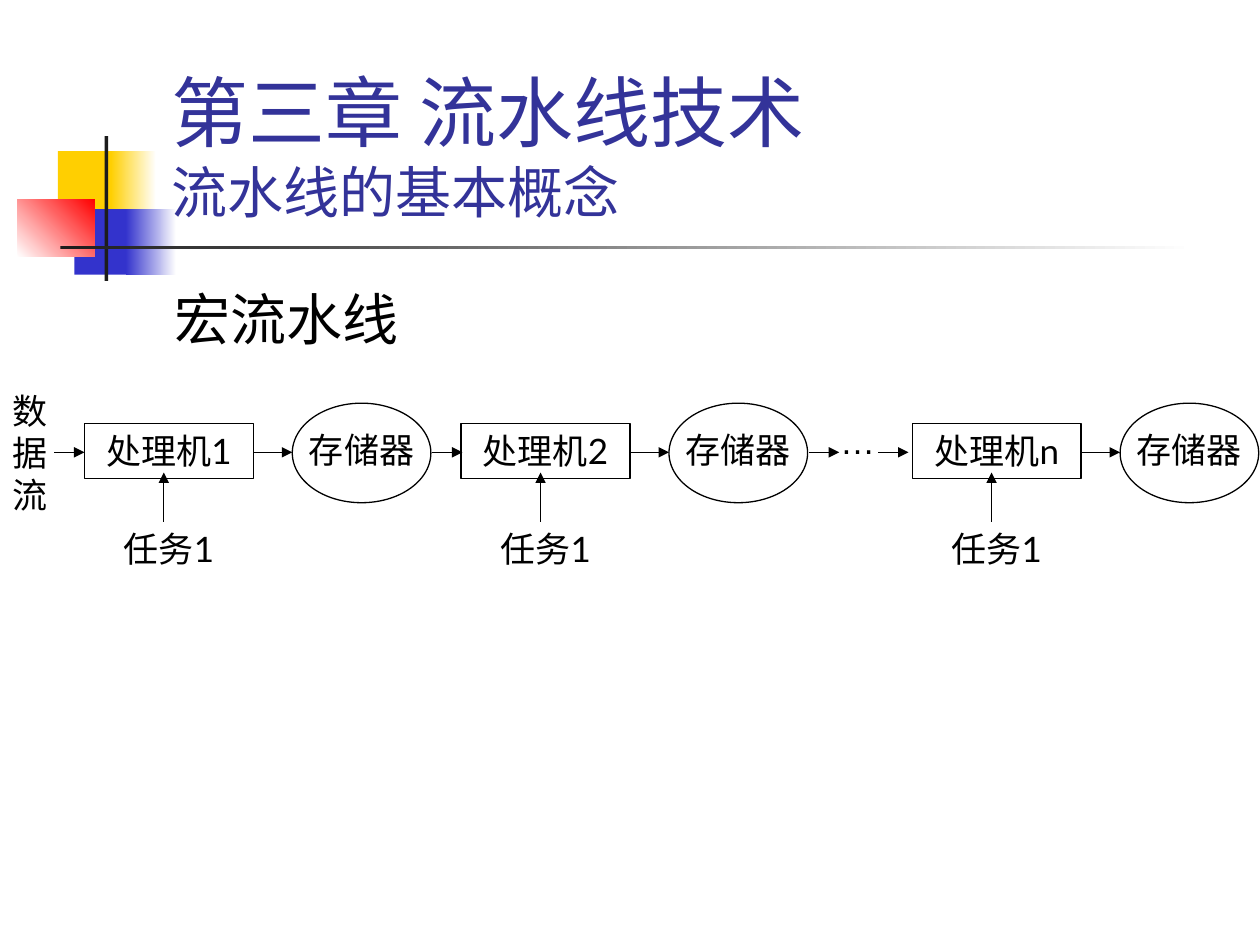
"""Build the slide on macro pipelines: processors, memories and tasks in a row."""
from dataclasses import dataclass

from lxml import etree
from pptx import Presentation
from pptx.dml.color import RGBColor
from pptx.enum.shapes import MSO_CONNECTOR, MSO_SHAPE
from pptx.enum.text import MSO_ANCHOR, PP_ALIGN
from pptx.oxml.ns import qn
from pptx.util import Inches, Pt

RECTANGLE, OVAL = MSO_SHAPE.RECTANGLE, MSO_SHAPE.OVAL
STRAIGHT = MSO_CONNECTOR.STRAIGHT
LEFT, CENTER = PP_ALIGN.LEFT, PP_ALIGN.CENTER
TOP, BOTTOM = MSO_ANCHOR.TOP, MSO_ANCHOR.BOTTOM


@dataclass(frozen=True)
class Theme:
    ink: str = "000000"
    title: str = "333399"
    yellow: str = "FFCF01"
    blue: str = "3333CC"
    red: str = "FF0000"
    dark: str = "1C1C1C"
    white: str = "FFFFFF"
    title_size: int = 44
    heading_size: int = 32
    label_size: int = 20
    line_width: float = 0.75
    font: str = "Lato"
    title_font: str = "Noto Sans CJK SC"
    symbol_font: str = "Arial"


def add_span(para, text, size, color, font):
    span = para.add_run()
    span.text = text
    span.font.size = Pt(size)
    span.font.color.rgb = RGBColor.from_string(color)
    span.font.name = font
    etree.SubElement(span.font._element, qn("a:ea"), typeface=font)


class Painter:
    def __init__(self, page, theme):
        self.page = page
        self.theme = theme

    def shape(self, kind, left, top, width, height):
        box = self.page.shapes.add_shape(
            kind, Inches(left), Inches(top), Inches(width), Inches(height))
        box.shadow.inherit = False
        return box

    def block(self, left, top, width, height, start, end=None, angle=0):
        box = self.shape(RECTANGLE, left, top, width, height)
        box.line.fill.background()
        if end is None:
            box.fill.solid()
            box.fill.fore_color.rgb = RGBColor.from_string(start)
            return
        box.fill.gradient()
        box.fill.gradient_angle = angle
        for stop, color in zip(box.fill.gradient_stops, (start, end)):
            stop.color.rgb = RGBColor.from_string(color)

    def outline(self, kind, left, top, width, height):
        box = self.shape(kind, left, top, width, height)
        box.fill.background()
        box.line.color.rgb = RGBColor.from_string(self.theme.ink)
        box.line.width = Pt(self.theme.line_width)
        return box

    def fill_frame(self, frame, text, size=None, font=None, align=CENTER):
        frame.word_wrap = True
        frame.vertical_anchor = TOP
        para = frame.paragraphs[0]
        para.alignment = align
        add_span(para, text, size or self.theme.label_size,
                 self.theme.ink, font or self.theme.font)

    def label(self, left, top, width, height, text, **style):
        box = self.page.shapes.add_textbox(
            Inches(left), Inches(top), Inches(width), Inches(height))
        self.fill_frame(box.text_frame, text, **style)

    def title(self, left, top, width, height, chapter, section):
        theme = self.theme
        box = self.page.shapes.add_textbox(
            Inches(left), Inches(top), Inches(width), Inches(height))
        frame = box.text_frame
        frame.word_wrap = True
        frame.vertical_anchor = BOTTOM
        para = frame.paragraphs[0]
        add_span(para, chapter, theme.title_size, theme.title, theme.title_font)
        para.add_line_break()
        add_span(para, section, theme.heading_size, theme.title, theme.font)

    def arrow(self, x1, y1, x2, y2):
        line = self.page.shapes.add_connector(
            STRAIGHT, Inches(x1), Inches(y1), Inches(x2), Inches(y2))
        line.line.color.rgb = RGBColor.from_string(self.theme.ink)
        line.line.width = Pt(self.theme.line_width)
        properties = line._element.spPr
        etree.SubElement(properties.find(qn("a:ln")), qn("a:tailEnd"), type="triangle")
        etree.SubElement(properties, qn("a:effectLst"))

    def stage(self, left, processor):
        box = self.outline(RECTANGLE, left, 3.36, 1.34, 0.44)
        self.fill_frame(box.text_frame, processor)
        self.outline(OVAL, left + 1.65, 3.2, 1.1, 0.79)
        self.label(left + 1.65, 3.35, 1.1, 0.44, "存储器")
        self.label(left + 0.08, 4.14, 1.18, 0.44, "任务1")
        self.arrow(left + 0.63, 4.14, left + 0.63, 3.75)
        self.arrow(left + 1.34, 3.59, left + 1.65, 3.59)

    def ornament(self):
        theme = self.theme
        self.block(0.46, 1.2, 0.48, 0.52, theme.yellow)
        self.block(0.88, 1.2, 0.36, 0.52, theme.yellow, theme.white)
        self.block(0.59, 1.66, 0.46, 0.52, theme.blue)
        self.block(1, 1.66, 0.4, 0.52, theme.blue, theme.white)
        self.block(0.14, 1.58, 0.61, 0.46, theme.white, theme.red, angle=45)
        self.block(0.83, 1.08, 0.03, 1.15, theme.dark)
        self.block(0.48, 1.95, 9, 0.03, theme.dark, theme.white)


def main():
    deck = Presentation()
    deck.slide_width, deck.slide_height = Inches(10), Inches(7.5)
    theme = Theme()
    painter = Painter(deck.slides.add_slide(deck.slide_layouts[6]), theme)

    painter.ornament()
    painter.title(1.26, 0.23, 8.52, 1.6, "第三章 流水线技术", "流水线的基本概念")
    painter.label(1.29, 2.21, 2.21, 0.68, "宏流水线",
                  size=theme.heading_size, align=LEFT)

    for left, processor in ((0.67, "处理机1"), (3.66, "处理机2"), (7.24, "处理机n")):
        painter.stage(left, processor)

    painter.label(0, 3.04, 0.51, 1.1, "数据流", align=LEFT)
    painter.label(6.57, 3.28, 0.55, 0.44, "…", font=theme.symbol_font, align=LEFT)
    for start in (0.43, 3.43, 6.42, 6.97):
        painter.arrow(start, 3.59, start + 0.24, 3.59)

    deck.save("out.pptx")


if __name__ == "__main__":
    main()
